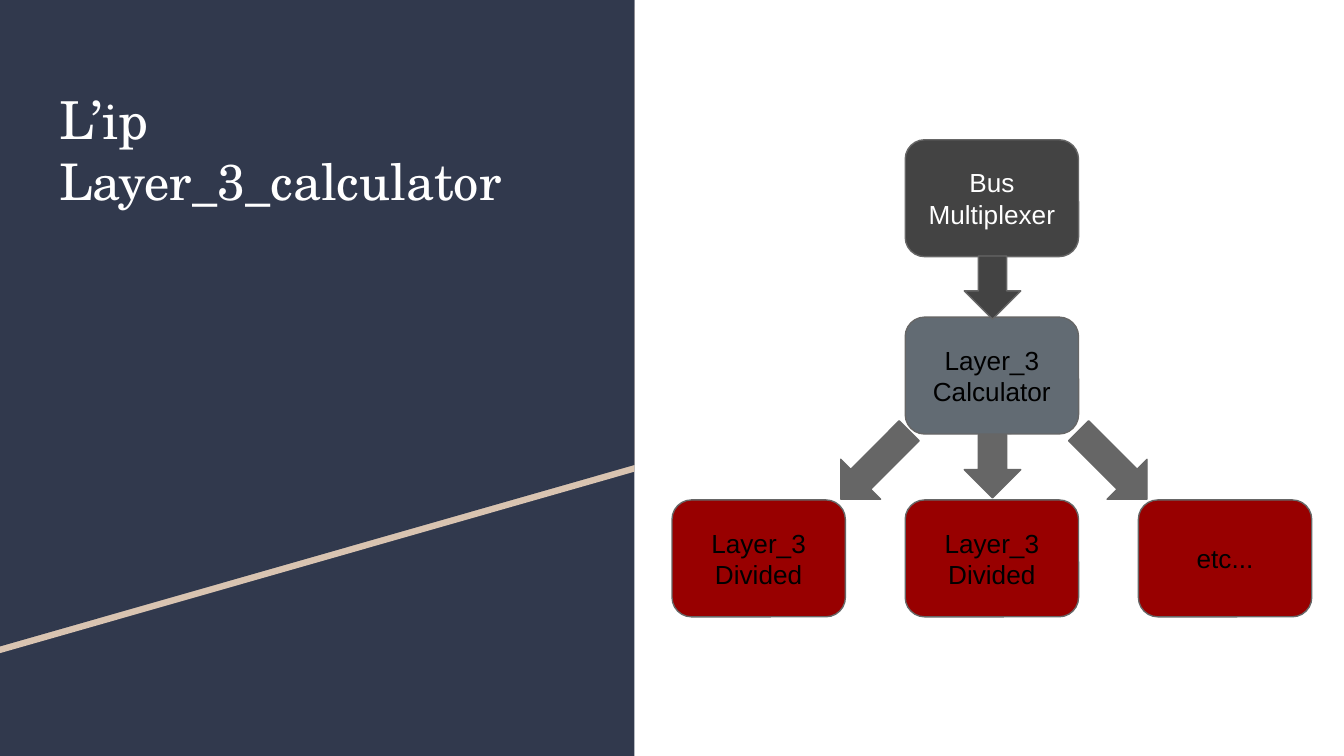
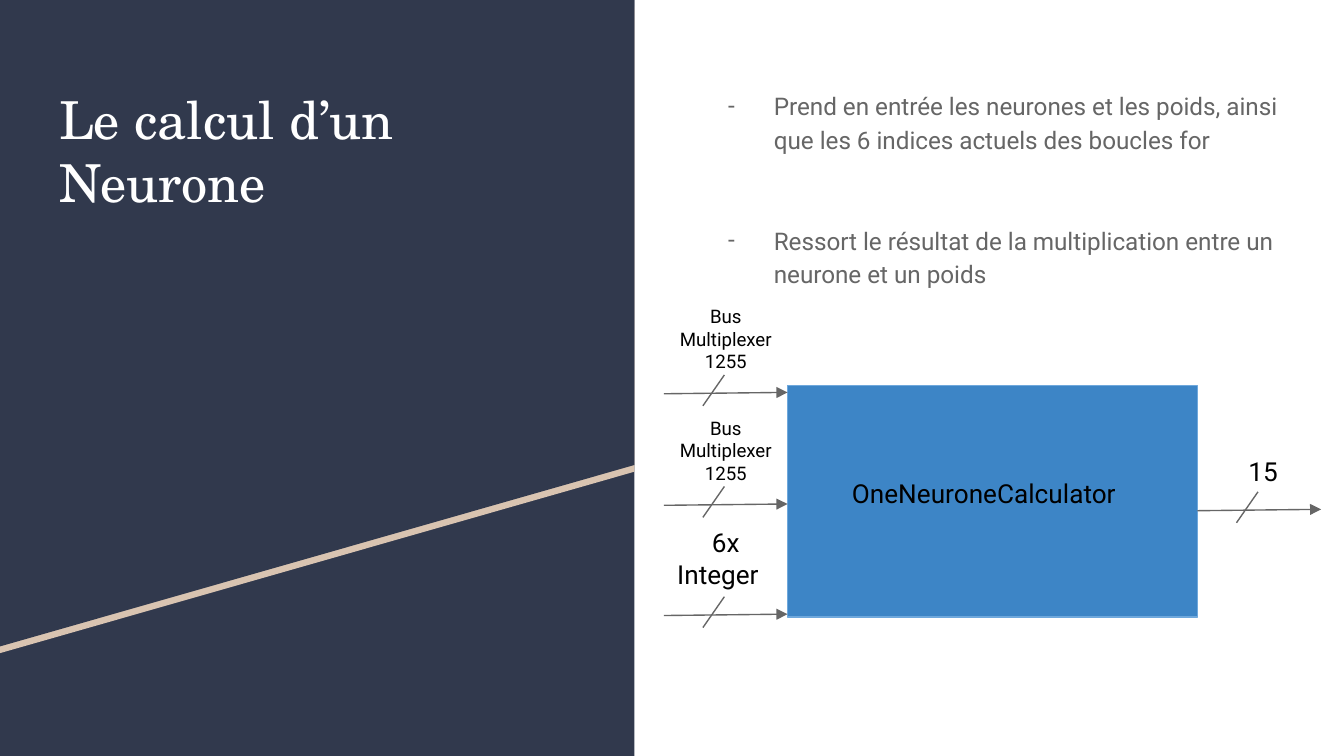
"""Builds two slides on the Layer_3 calculator and the neuron computation."""
from lxml import etree
from pptx import Presentation
from pptx.dml.color import RGBColor
from pptx.enum.shapes import MSO_CONNECTOR, MSO_SHAPE
from pptx.enum.text import MSO_ANCHOR, MSO_AUTO_SIZE, PP_ALIGN
from pptx.oxml.ns import qn
from pptx.util import Inches, Pt

STRAIGHT = MSO_CONNECTOR.STRAIGHT
RECTANGLE = MSO_SHAPE.RECTANGLE
ROUNDED = MSO_SHAPE.ROUNDED_RECTANGLE
RIGHT_ARROW = MSO_SHAPE.RIGHT_ARROW
TOP, MIDDLE = MSO_ANCHOR.TOP, MSO_ANCHOR.MIDDLE
LEFT, CENTER = PP_ALIGN.LEFT, PP_ALIGN.CENTER
NO_AUTOFIT = MSO_AUTO_SIZE.NONE
TITLE_ONLY = 5

NAVY, SAND, WHITE, BLACK = "31394D", "D9C4B1", "FFFFFF", "000000"
GREY, CHARCOAL, SLATE, RED = "666666", "434343", "626B73", "980000"
BLUE, LIGHT_BLUE = "3D85C6", "6FA8DC"
TITLE_FONT, BOX_FONT, BODY_FONT = "TeX Gyre Schola", "Arial", "Roboto"
SLIDE_WIDTH = 10
SLIDE_HEIGHT = SLIDE_WIDTH * 9 / 16
PANEL_WIDTH = 4.72


def color(value):
    return RGBColor.from_string(value)


class Deck:
    def __init__(self):
        self.presentation = Presentation()
        self.presentation.slide_width = Inches(SLIDE_WIDTH)
        self.presentation.slide_height = Inches(SLIDE_HEIGHT)
        self.slide = None

    def add_slide(self, title_runs):
        layout = self.presentation.slide_layouts[TITLE_ONLY]
        self.slide = self.presentation.slides.add_slide(layout)
        self.shape(RECTANGLE, (0, 0, PANEL_WIDTH, SLIDE_HEIGHT), NAVY)
        self.slanted_panel(0.05, SAND)
        front_panel = self.slanted_panel(0, NAVY)
        title = self.slide.shapes.title
        front_panel.element.addnext(title.element)
        title.left, title.top, title.width, title.height = map(Inches, (0.34, 0.55, 4.05, 2.74))
        paragraph = title.text_frame.paragraphs[0]
        for text, _ in title_runs:
            paragraph.add_run().text = text
        self.format_text(title.text_frame, TITLE_FONT, 28, WHITE, LEFT, TOP)
        for run, (_, size) in zip(paragraph.runs, title_runs):
            run.font.size = Pt(size)

    def slanted_panel(self, offset, fill):
        corners = [(PANEL_WIDTH, offset), (PANEL_WIDTH, 3.46 + offset), (0, 4.81 + offset)]
        builder = self.slide.shapes.build_freeform(0, Inches(offset))
        builder.add_line_segments([(Inches(x), Inches(y)) for x, y in corners])
        return self.paint(builder.convert_to_shape(), fill)

    def paint(self, shape, fill, line=None):
        shape.shadow.inherit = False
        shape.fill.solid()
        shape.fill.fore_color.rgb = color(fill)
        if line:
            shape.line.color.rgb = color(line)
            shape.line.width = Pt(0.75)
        else:
            shape.line.fill.background()
        return shape

    def shape(self, kind, place, fill, line=None, rotation=0):
        shape = self.slide.shapes.add_shape(kind, *map(Inches, place))
        shape.rotation = rotation
        return self.paint(shape, fill, line)

    def format_text(self, text_frame, font, size, text_color, align, anchor):
        text_frame.word_wrap = True
        text_frame.auto_size = NO_AUTOFIT
        text_frame.vertical_anchor = anchor
        text_frame.margin_left = text_frame.margin_right = Inches(0.1)
        text_frame.margin_top = text_frame.margin_bottom = Inches(0.1)
        for paragraph in text_frame.paragraphs:
            paragraph.alignment = align
            for run in paragraph.runs:
                run.font.name = font
                run.font.size = Pt(size)
                run.font.color.rgb = color(text_color)

    def box(self, left, top, text, fill, text_color=BLACK):
        shape = self.shape(ROUNDED, (left, top, 1.29, 0.87), fill, GREY)
        shape.text_frame.text = text
        self.format_text(shape.text_frame, BOX_FONT, 14, text_color, CENTER, MIDDLE)

    def block_arrow(self, left, top, width, rotation, fill=GREY):
        self.shape(RIGHT_ARROW, (left, top, width, 0.42), fill, GREY, rotation)

    def text(self, place, text, size=14, text_color=BLACK, align=LEFT):
        text_box = self.slide.shapes.add_textbox(*map(Inches, place))
        text_box.text_frame.text = text
        self.format_text(text_box.text_frame, BODY_FONT, size, text_color, align, TOP)
        return text_box.text_frame

    def dashed_list(self, place, items):
        text_frame = self.text(place, "\n".join(items), 13, GREY)
        for index, paragraph in enumerate(text_frame.paragraphs):
            paragraph.line_spacing = 1.15
            paragraph.space_before = Pt(36 if index else 0)
            properties = paragraph._p.get_or_add_pPr()
            properties.set("marL", str(Inches(0.5)))
            properties.set("indent", str(Inches(-0.34)))
            bullet_color = etree.SubElement(properties, qn("a:buClr"))
            etree.SubElement(bullet_color, qn("a:srgbClr"), val=GREY)
            etree.SubElement(properties, qn("a:buFont"), typeface=BODY_FONT)
            etree.SubElement(properties, qn("a:buChar"), char="-")

    def line(self, start, end, arrow=False):
        connector = self.slide.shapes.add_connector(STRAIGHT, *map(Inches, start + end))
        connector.line.color.rgb = color(GREY)
        connector.line.width = Pt(0.75)
        properties = connector.element.spPr
        if arrow:
            etree.SubElement(properties.find(qn("a:ln")), qn("a:tailEnd"), type="triangle")
        etree.SubElement(properties, qn("a:effectLst"))

    def bus(self, left, top):
        self.line((left, top), (left + 0.92, top - 0.01), arrow=True)
        self.line((left + 0.45, top - 0.14), (left + 0.29, top + 0.09))


def build_calculator_slide(deck):
    deck.add_slide([("L’ip ", 28), ("Layer_3_calculator", 27)])
    columns = [5 + 1.735 * index for index in range(3)]
    deck.box(columns[1], 1.04, "Bus Multiplexer", CHARCOAL, WHITE)
    deck.box(columns[1], 2.36, "Layer_3 Calculator", SLATE)
    for left, text in zip(columns, ["Layer_3\nDivided", "Layer_3\nDivided", "etc..."]):
        deck.box(left, 3.72, text, RED)
    deck.block_arrow(7.15, 1.93, 0.47, 90, CHARCOAL)
    deck.block_arrow(7.15, 3.26, 0.47, 90)
    deck.block_arrow(6.15, 3.25, 0.72, 135)
    deck.block_arrow(7.92, 3.25, 0.72, 45)


def build_neuron_slide(deck):
    deck.add_slide([("Le calcul d’un Neurone", 28)])
    deck.dashed_list((5.16, 0.55, 4.56, 4.48), [
        "Prend en entrée les neurones et les poids, ainsi que les 6 indices actuels des boucles for",
        "Ressort le résultat de la multiplication entre un neurone et un poids",
    ])
    deck.shape(RECTANGLE, (5.86, 2.87, 3.05, 1.72), BLUE, LIGHT_BLUE)
    deck.text((6.24, 3.45, 2.38, 0.75), "OneNeuroneCalculator")
    bus_left = 4.94
    inputs = [(2.93, "Bus Multiplexer 1255", 10), (3.76, "Bus Multiplexer 1255", 10),
              (4.58, "6x\nInteger", 14)]
    for top, label, size in inputs:
        deck.bus(bus_left, top)
        label_frame = deck.text((bus_left, top - 0.76, 0.92, 0.62), label, size, align=CENTER)
    label_frame.paragraphs[1].alignment = LEFT
    deck.bus(8.91, 3.8)
    deck.text((9.19, 3.29, 0.46, 0.28), "15")


def main():
    deck = Deck()
    build_calculator_slide(deck)
    build_neuron_slide(deck)
    deck.presentation.save("out.pptx")


if __name__ == "__main__":
    main()
